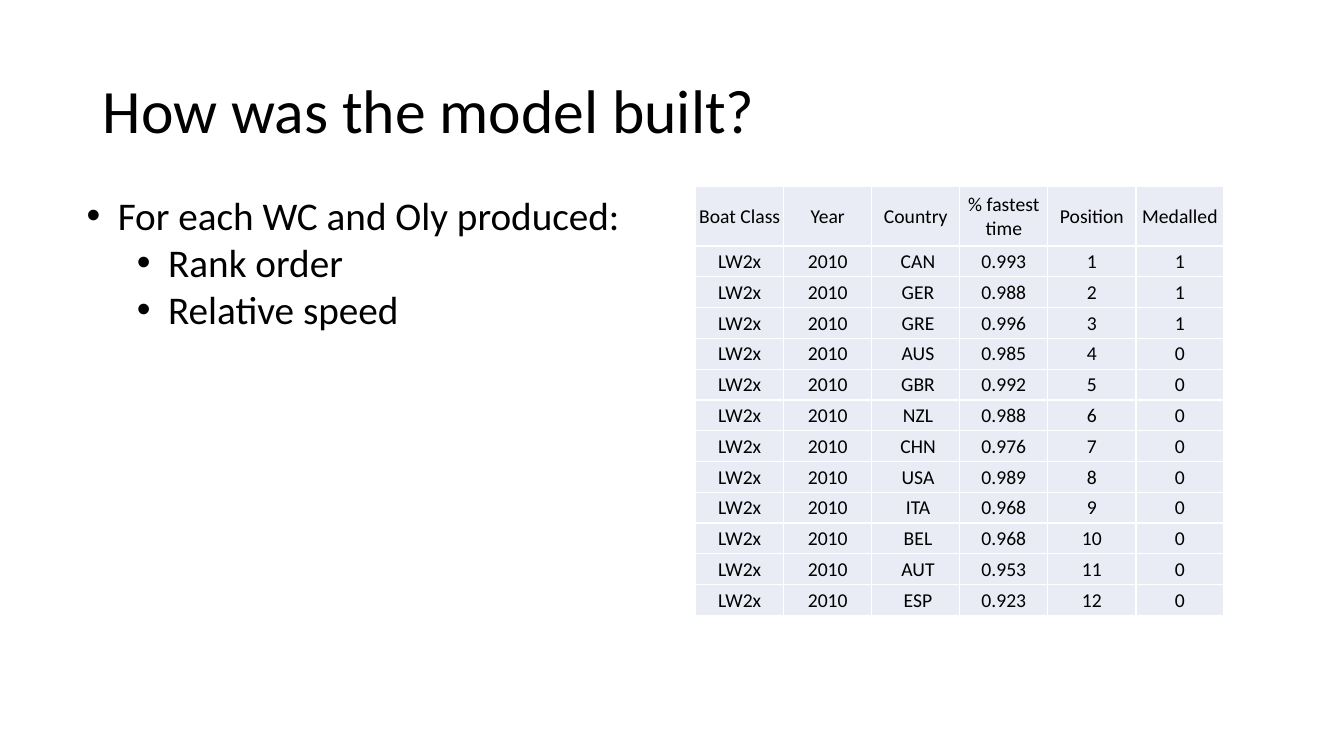
from dataclasses import dataclass

from lxml.etree import SubElement
from pptx import Presentation
from pptx.dml.color import RGBColor
from pptx.enum.text import MSO_ANCHOR, PP_ALIGN
from pptx.oxml.ns import qn
from pptx.util import Inches, Pt


@dataclass(frozen=True)
class Theme:
    font: str = "Calibri"
    ink: str = "000000"
    cell: str = "E9EBF5"
    rule: str = "FFFFFF"
    title: int = 44
    body: int = 28
    table: int = 14


theme = Theme()


def write(para, text, size, align=PP_ALIGN.LEFT, spacing=None, bullet_level=None):
    """Put formatted text in a paragraph, with a hanging bullet if a level is given."""
    para.alignment = align
    if spacing:
        para.line_spacing = spacing
    if bullet_level is not None:
        para.level = bullet_level
        hang = Inches(0.31)
        props = para._p.get_or_add_pPr()
        props.set("marL", str(hang + bullet_level * Inches(0.5)))
        props.set("indent", str(-hang))
        SubElement(props, qn("a:buFont"), typeface="Arial")
        SubElement(props, qn("a:buChar"), char="•")
    span = para.add_run()
    span.text = text
    span.font.name = theme.font
    span.font.size = Pt(size)
    span.font.color.rgb = RGBColor.from_string(theme.ink)


deck = Presentation()
deck.slide_width, deck.slide_height = Inches(13.33), Inches(7.5)
page = deck.slides.add_slide(deck.slide_layouts[6])
content_top = Inches(1.85)

# Title
title_box = page.shapes.add_textbox(Inches(0.92), Inches(0.4), Inches(11.5), Inches(1.45))
title_box.text_frame.word_wrap = True
title_box.text_frame.vertical_anchor = MSO_ANCHOR.MIDDLE
write(title_box.text_frame.paragraphs[0], "How was the model built?", theme.title, spacing=0.9)

# Bulleted steps
steps = [("For each WC and Oly produced:", 0), ("Rank order", 1), ("Relative speed", 1)]
steps_box = page.shapes.add_textbox(Inches(0.76), content_top, Inches(5.68), Inches(1.82))
steps_box.text_frame.word_wrap = True
for index, (step, level) in enumerate(steps):
    frame = steps_box.text_frame
    para = frame.add_paragraph() if index else frame.paragraphs[0]
    write(para, step, theme.body, bullet_level=level)

# Race results: the first three positions win medals
finishers = [
    ("CAN", "0.993"), ("GER", "0.988"), ("GRE", "0.996"), ("AUS", "0.985"),
    ("GBR", "0.992"), ("NZL", "0.988"), ("CHN", "0.976"), ("USA", "0.989"),
    ("ITA", "0.968"), ("BEL", "0.968"), ("AUT", "0.953"), ("ESP", "0.923"),
]
results = [("Boat Class", "Year", "Country", "% fastest time", "Position", "Medalled")]
for position, (country, speed) in enumerate(finishers, start=1):
    medalled = int(position <= 3)
    results.append(("LW2x", "2010", f" {country}", speed, str(position), str(medalled)))

# Table grid
width, height, header_height = Inches(5.24), Inches(4.26), Inches(0.59)
table = page.shapes.add_table(
    len(results), len(results[0]), Inches(6.9), content_top, width, height
).table
table.first_row = table.horz_banding = False
for column in table.columns:
    column.width = width // len(results[0])
for index, row in enumerate(table.rows):
    row.height = (height - header_height) // len(finishers) if index else header_height

# Table cells
for row, values in zip(table.rows, results):
    for cell, value in zip(row.cells, values):
        cell.vertical_anchor = MSO_ANCHOR.MIDDLE
        cell.margin_left = cell.margin_right = cell.margin_top = Inches(0.01)
        cell.margin_bottom = 0
        for side in ("lnL", "lnR", "lnT", "lnB"):
            edge = SubElement(cell._tc.get_or_add_tcPr(), qn(f"a:{side}"), w=str(Pt(1)))
            SubElement(SubElement(edge, qn("a:solidFill")), qn("a:srgbClr"), val=theme.rule)
        cell.fill.solid()
        cell.fill.fore_color.rgb = RGBColor.from_string(theme.cell)
        write(cell.text_frame.paragraphs[0], value, theme.table, align=PP_ALIGN.CENTER)

deck.save("out.pptx")
